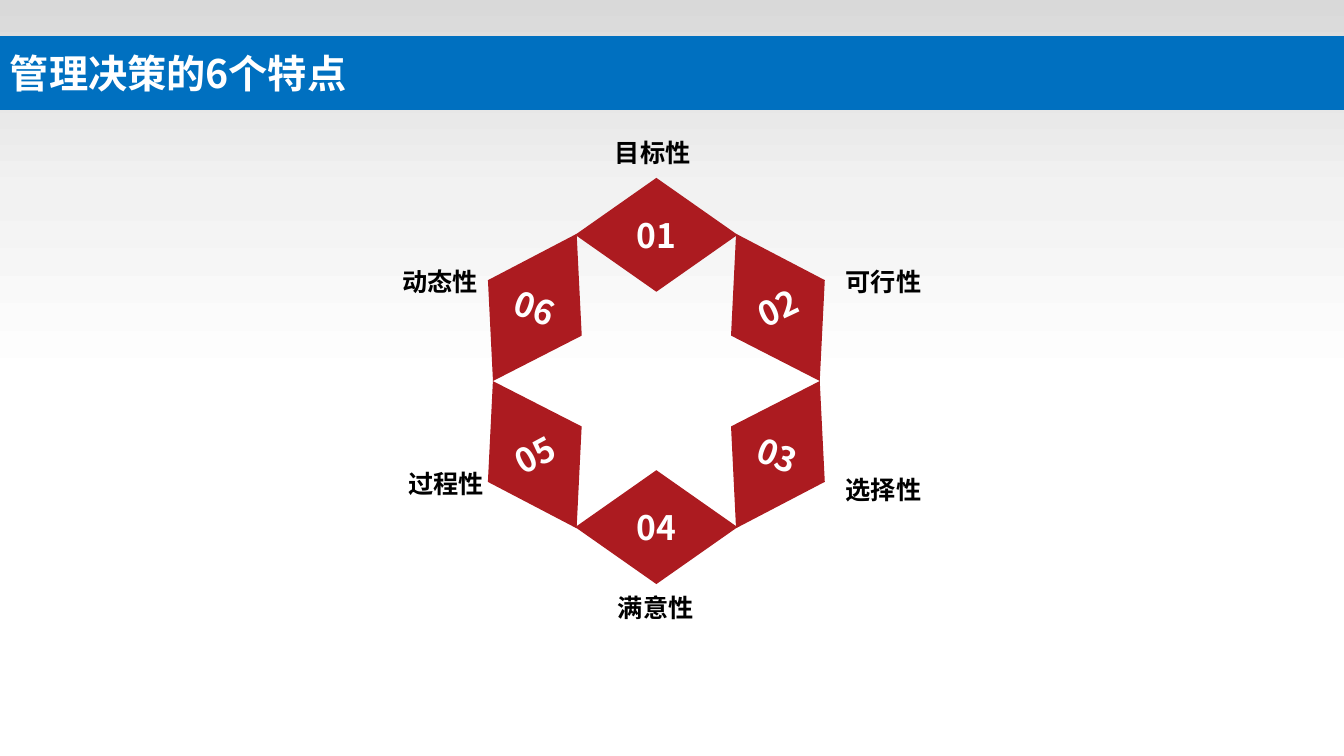
from copy import deepcopy
from math import cos, radians, sin

from pptx import Presentation
from pptx.dml.color import RGBColor
from pptx.enum.shapes import MSO_SHAPE as Shape
from pptx.enum.text import MSO_ANCHOR as Anchor, PP_ALIGN as Align
from pptx.util import Inches, Pt

TITLE = "管理决策的6个特点"
TRAITS = [
    ("目标性", 6.00, 1.31),
    ("可行性", 8.29, 2.59),
    ("选择性", 8.29, 4.66),
    ("满意性", 6.03, 5.83),
    ("过程性", 3.95, 4.60),
    ("动态性", 3.89, 2.59),
]
DIAMONDS = [("01", -1), ("04", 1)]
SIDE_PETALS = [
    ("02", 1, 1, -25.2),
    ("06", -1, 1, 19.9),
    ("05", -1, -1, -28.3),
    ("03", 1, -1, 20.8),
]

WIDTH, HEIGHT = 13.33, 7.5
RING_X, RING_Y = 6.51, 3.78
DIAMOND_W, DIAMOND_H, DIAMOND_REACH = 1.61, 1.13, 1.45
PETAL_CORNERS = [(0.79, -1.46), (1.67, -1.0), (1.62, 0), (0.74, -0.45)]
LABEL_W, LABEL_H = 0.96, 0.4

FONT, LABEL_FONT = "Noto Sans CJK SC", "Arial"
RED = RGBColor(0xAC, 0x1B, 0x20)
BLUE = RGBColor(0x00, 0x70, 0xC0)
WHITE = RGBColor(0xFF, 0xFF, 0xFF)
BLACK = RGBColor(0x00, 0x00, 0x00)
FADE = [RGBColor(0xD9, 0xD9, 0xD9), RGBColor(0xF2, 0xF2, 0xF2), WHITE]


def write(shape, text, size, color, align=Align.LEFT, font=FONT):
    paragraph = shape.text_frame.paragraphs[0]
    paragraph.text = text
    paragraph.alignment = align
    paragraph.font.size = Pt(size)
    paragraph.font.bold = True
    paragraph.font.name = font
    paragraph.font.color.rgb = color


def plain(shape):
    shape.shadow.inherit = False
    shape.line.fill.background()
    return shape


def paint(shape, color):
    plain(shape).fill.solid()
    shape.fill.fore_color.rgb = color
    shape.text_frame.vertical_anchor = Anchor.MIDDLE
    return shape


def block(shapes, kind, left, top, width, height):
    return shapes.add_shape(kind, *map(Inches, (left, top, width, height)))


def number(shape, text):
    frame = paint(shape, RED).text_frame
    frame.margin_left = frame.margin_right = 0
    frame.margin_top = frame.margin_bottom = 0
    frame.word_wrap = False
    write(shape, text, 24, WHITE, Align.CENTER)


def add_backdrop(shapes):
    fill = plain(block(shapes, Shape.RECTANGLE, 0, 0, WIDTH, 3.83)).fill
    fill.gradient()
    fill.gradient_angle = 270
    stops = fill._fill._gradFill.gsLst
    stops.append(deepcopy(stops[-1]))
    for index, (stop, color) in enumerate(zip(fill.gradient_stops, FADE)):
        stop.position = index / (len(FADE) - 1)
        stop.color.rgb = color


def add_petal(shapes, text, side, level, tilt):
    corners = [(side * x, level * y) for x, y in PETAL_CORNERS]
    mid_x = sum(x for x, _ in corners) / len(corners)
    mid_y = sum(y for _, y in corners) / len(corners)
    c, s = cos(radians(tilt)), sin(radians(tilt))
    upright = []
    for x, y in corners:
        dx, dy = x - mid_x, y - mid_y
        upright.append((Inches(RING_X + mid_x + dx * c + dy * s),
                        Inches(RING_Y + mid_y - dx * s + dy * c)))
    builder = shapes.build_freeform(*upright[0])
    builder.add_line_segments(upright[1:], close=True)
    petal = builder.convert_to_shape()
    petal.rotation = tilt
    number(petal, text)


def main():
    deck = Presentation()
    deck.slide_width, deck.slide_height = Inches(WIDTH), Inches(HEIGHT)
    shapes = deck.slides.add_slide(deck.slide_layouts[6]).shapes

    add_backdrop(shapes)
    banner = paint(block(shapes, Shape.RECTANGLE, 0, 0.36, WIDTH, 0.73), BLUE)
    write(banner, TITLE, 28, WHITE)

    for text, level in DIAMONDS:
        middle = RING_Y + level * DIAMOND_REACH
        number(block(shapes, Shape.FLOWCHART_DECISION, RING_X - DIAMOND_W / 2,
                     middle - DIAMOND_H / 2, DIAMOND_W, DIAMOND_H), text)
    for petal in SIDE_PETALS:
        add_petal(shapes, *petal)

    for trait, left, top in TRAITS:
        label = shapes.add_textbox(*map(Inches, (left, top, LABEL_W, LABEL_H)))
        label.text_frame.word_wrap = False
        write(label, trait, 18, BLACK, font=LABEL_FONT)

    deck.save("out.pptx")


if __name__ == "__main__":
    main()
